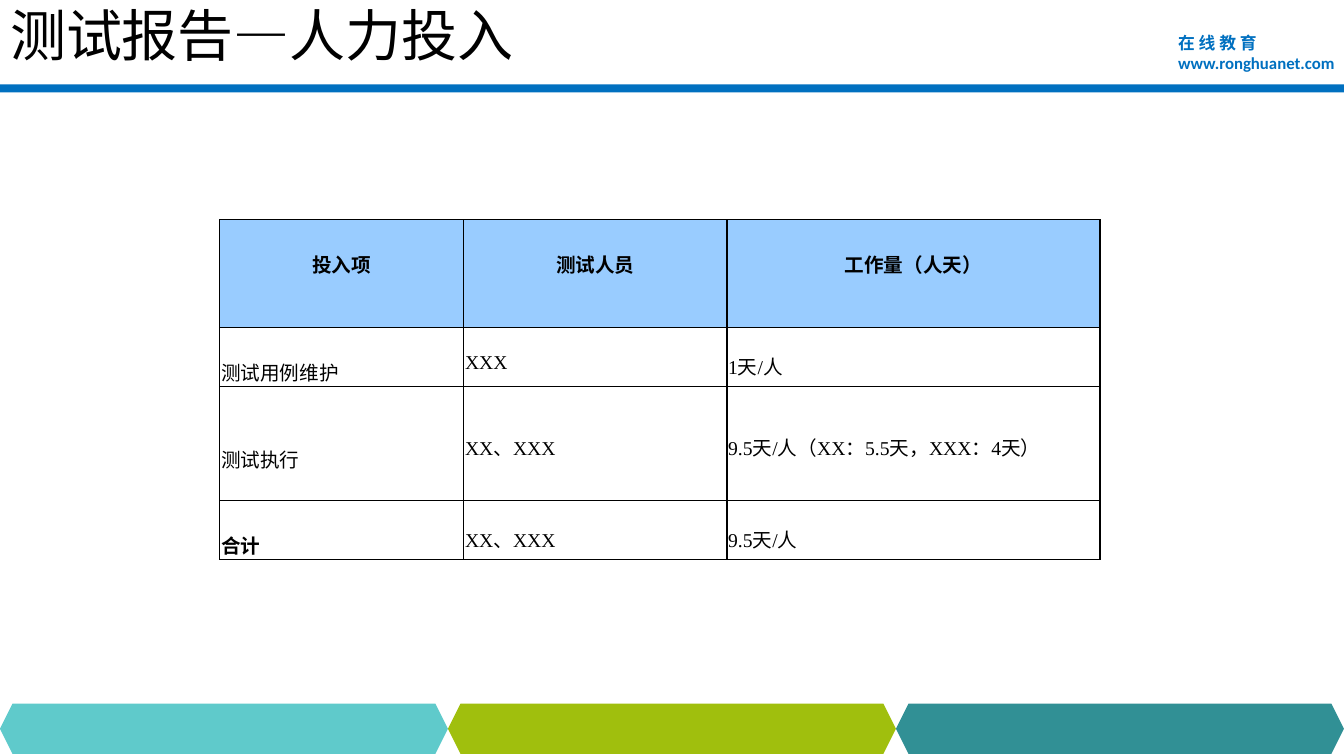
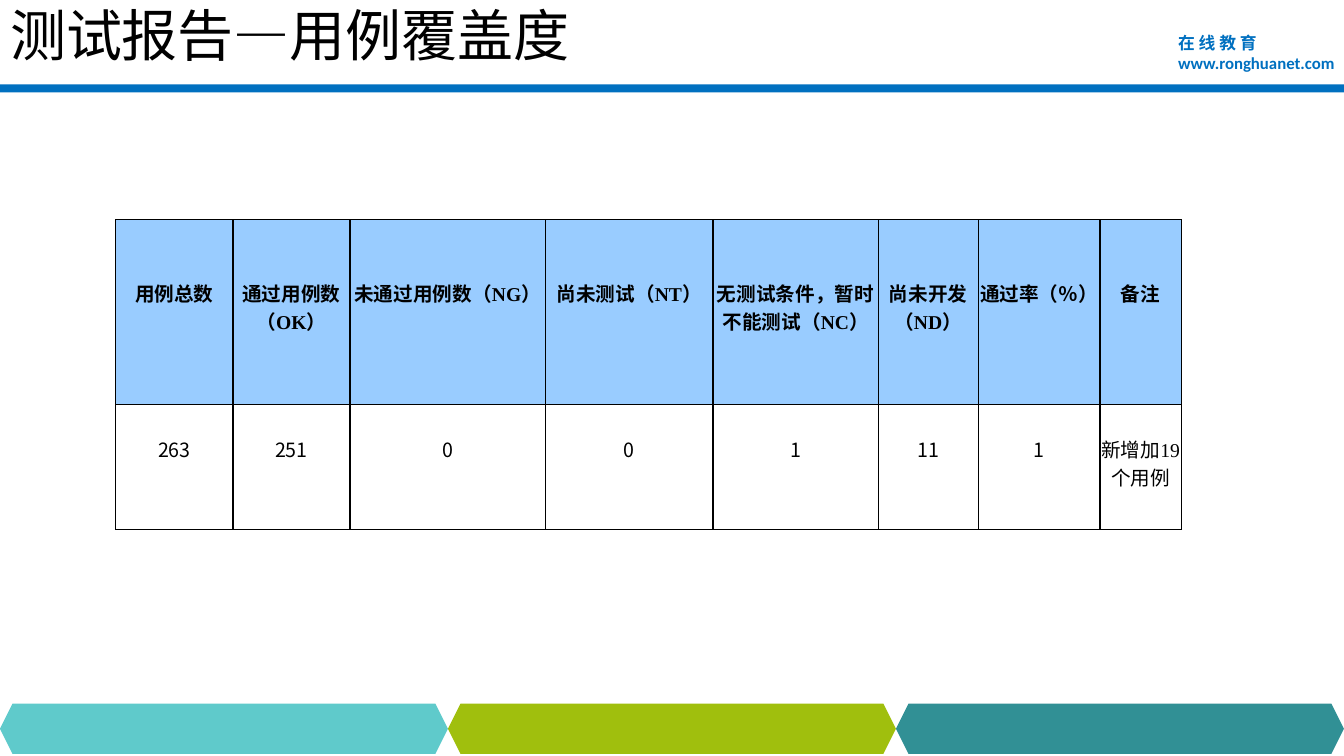
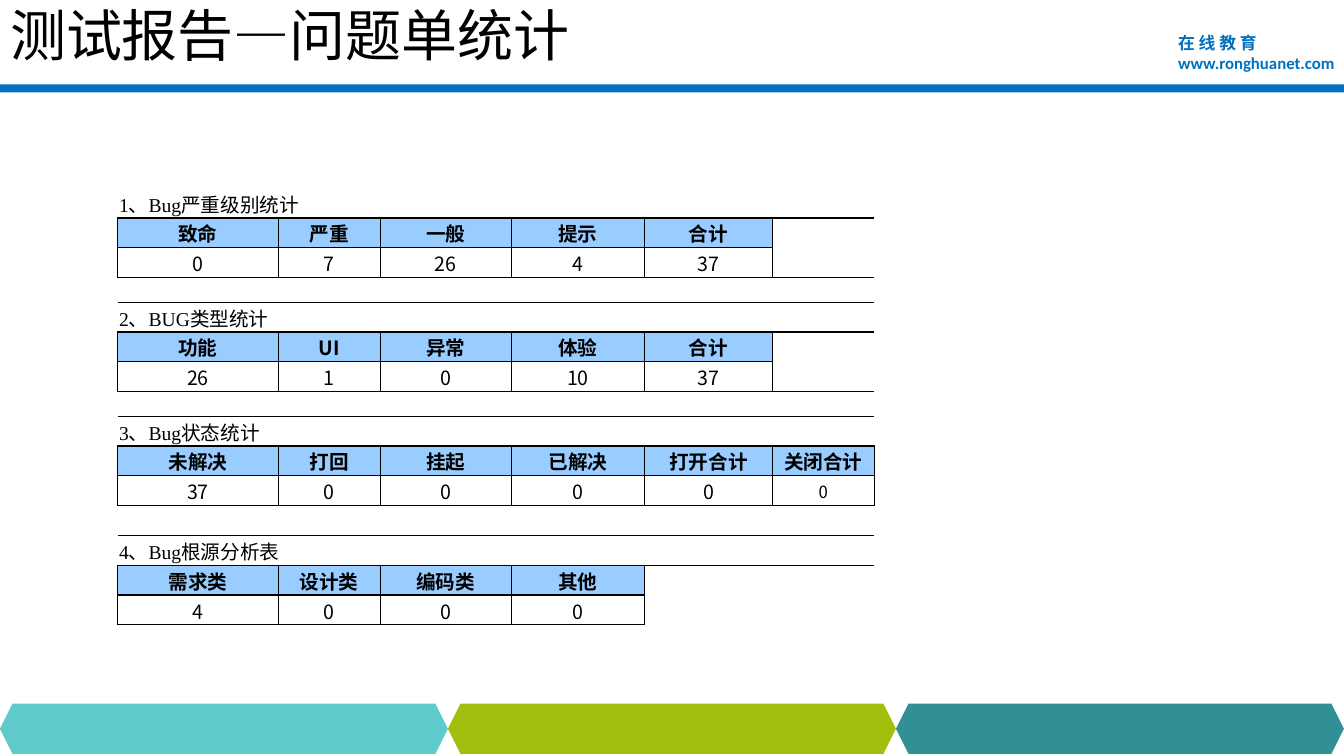
"""Build three test report slides: effort, case coverage and bug counts."""
import dataclasses
import itertools

import lxml.etree
import pptx
import pptx.dml.color
import pptx.enum.shapes
import pptx.enum.text
import pptx.oxml.ns
import pptx.util

Cm = pptx.util.Cm
Pt = pptx.util.Pt
RGB = pptx.dml.color.RGBColor
qn = pptx.oxml.ns.qn
ALIGN = pptx.enum.text.PP_ALIGN
ANCHOR = pptx.enum.text.MSO_ANCHOR
SHAPE = pptx.enum.shapes.MSO_SHAPE


@dataclasses.dataclass(frozen=True)
class Theme:
    ink: RGB = RGB.from_string("000000")
    blue: RGB = RGB.from_string("0070C0")
    head: RGB = RGB.from_string("99CCFF")
    bands: tuple = ("5FCACB", "A0BF0D", "319095")
    sans: str = "Noto Sans CJK SC"
    serif: str = "Times New Roman"
    web: str = "Calibri"
    title: str = "Arial"
    big: int = 40
    body: int = 14
    small: int = 12
    tall: float = 0.72
    low: float = 0.57


theme = Theme()


def grid(slide, left, top, widths, heights):
    frame = slide.shapes.add_table(
        len(heights), len(widths), Cm(left), Cm(top), Cm(sum(widths)), Cm(sum(heights)))
    for tag in frame.element.iter(qn("a:tableStyleId")):
        tag.text = "{2D5ABB26-0587-4C30-8999-92F81FD0307C}"
    table = frame.table
    table.first_row = table.horz_banding = False
    for col, width in zip(table.columns, widths):
        col.width = Cm(width)
    for row, height in zip(table.rows, heights):
        row.height = Cm(height)
    return table


def fill(cell, text="", bold=False, align=ALIGN.CENTER, gap=0, sides="LRTB",
         shade=None, size=theme.body, anchor=ANCHOR.TOP):
    cell.margin_left = cell.margin_right = Cm(0.03)
    cell.margin_top, cell.margin_bottom = Cm(0.03 + gap), 0
    cell.vertical_anchor = anchor
    props = cell._tc.get_or_add_tcPr()
    for side in sides:
        line = lxml.etree.SubElement(props, qn("a:ln" + side), w="12700")
        paint = lxml.etree.SubElement(line, qn("a:solidFill"))
        lxml.etree.SubElement(paint, qn("a:srgbClr"), val=str(theme.ink))
    if shade:
        cell.fill.solid()
        cell.fill.fore_color.rgb = shade
    else:
        cell.fill.background()
    para = cell.text_frame.paragraphs[0]
    para.alignment = align
    para.font.size = Pt(size)
    para.font.bold = bold
    para.font.color.rgb = theme.ink
    latin = theme.sans if text.isdigit() or text == "UI" else theme.serif
    for wide, part in itertools.groupby(text, lambda char: char > "⺀"):
        run = para.add_run()
        run.text = "".join(part)
        run.font.name = theme.sans if wide else latin
        lxml.etree.SubElement(run.font._element, qn("a:ea"), typeface=theme.sans)
    if not text:
        lxml.etree.SubElement(para._p, qn("a:endParaRPr"), sz=str(size * 100))


deck = pptx.Presentation()
deck.slide_width, deck.slide_height = Cm(33.87), Cm(19.05)
layout = deck.slide_layouts[5]
for holder in list(layout.placeholders)[1:]:
    holder.element.getparent().remove(holder.element)
holder = layout.placeholders[0]
holder.left, holder.top, holder.width, holder.height = Cm(0), Cm(-0.03), Cm(25.4), Cm(1.78)

slides = []
for topic in ("人力投入", "用例覆盖度", "问题单统计"):
    slide = deck.slides.add_slide(layout)
    title = slide.shapes.title.text_frame
    title.text = "测试报告—" + topic
    title.auto_size = pptx.enum.text.MSO_AUTO_SIZE.NONE
    title.vertical_anchor = ANCHOR.MIDDLE
    para = title.paragraphs[0]
    para.alignment = ALIGN.LEFT
    para.font.name = theme.title
    para.font.size = Pt(theme.big)
    para.font.color.rgb = theme.ink
    slides.append(slide)
effort, cover, bugs = slides

third = 11.29
parts = [(SHAPE.RECTANGLE, 0, 2.13, 33.87, 0.2, theme.blue)]
for spot, tint in enumerate(theme.bands):
    parts.append((SHAPE.HEXAGON, spot * third, 17.73, third, 1.27, RGB.from_string(tint)))
shared = []
for kind, left, top, width, height, tint in parts:
    band = effort.shapes.add_shape(kind, Cm(left), Cm(top), Cm(width), Cm(height))
    band.shadow.inherit = False
    band.fill.solid()
    band.fill.fore_color.rgb = tint
    band.line.fill.background()
    shared.append(band)
brand = effort.shapes.add_textbox(Cm(29.44), Cm(0.69), Cm(4.62), Cm(1.27))
brand.text_frame.word_wrap = True
brand.text_frame.text = "在 线 教 育\nwww.ronghuanet.com"
for para, face in zip(brand.text_frame.paragraphs, (theme.sans, theme.web)):
    para.font.name = face
    para.font.size = Pt(theme.small)
    para.font.bold = True
    para.font.color.rgb = theme.blue
shared.append(brand)
for shape in shared:
    layout.shapes.element.append(shape.element)

rows = [
    ("投入项", "测试人员", "工作量（人天）"),
    ("测试用例维护", "XXX", "1天/人"),
    ("测试执行", "XX、XXX", "9.5天/人（XX：5.5天，XXX：4天）"),
    ("合计", "XX、XXX", "9.5天/人"),
]
table = grid(effort, 5.54, 5.54, [6.15, 6.63, 9.4], [2.72, 1.48, 2.88, 1.48])
for row, texts in enumerate(rows):
    for col, text in enumerate(texts):
        step = theme.tall if row == 0 or col == 0 else theme.low
        fill(table.cell(row, col), text, bold=row == 0 or text == "合计",
             align=ALIGN.JUSTIFY if row else ALIGN.CENTER,
             gap=step * (2 if row == 2 else 1), shade=None if row else theme.head)

rows = [
    ("用例总数", "通过用例数（OK）", "未通过用例数（NG）", "尚未测试（NT）",
     "无测试条件，暂时不能测试（NC）", "尚未开发（ND）", "通过率（％）", "备注"),
    ("263", "251", "0", "0", "1", "11", "1", "新增加19个用例"),
]
shades = (theme.head, RGB.from_string("FFFFFF"))
table = grid(cover, 2.92, 5.54, [2.95, 2.95, 4.92, 4.23, 4.16, 2.52, 3.07, 2.05], [4.65, 3.15])
for row, texts in enumerate(rows):
    for col, text in enumerate(texts):
        fill(table.cell(row, col), text, bold=row == 0,
             gap=theme.tall * (2 - row), shade=shades[row])

blocks = [
    ("1、Bug严重级别统计", ("致命", "严重", "一般", "提示", "合计"), ("0", "7", "26", "4", "37")),
    ("2、BUG类型统计", ("功能", "UI", "异常", "体验", "合计"), ("26", "1", "0", "10", "37")),
    ("3、Bug状态统计", ("未解决", "打回", "挂起", "已解决", "打开合计", "关闭合计"),
     ("37", "0", "0", "0", "0", "0")),
    ("4、Bug根源分析表", ("需求类", "设计类", "编码类", "其他"), ("4", "0", "0", "0")),
]
line = 0.75
heights = [line] * 3 + [0.62] + [line] * 3 + [0.62] + [line] * 7
table = grid(bugs, 2.97, 4.74, [4.04, 2.57, 3.31, 3.35, 3.23, 2.56], heights)
last = len(table.columns) - 1
for spot, (label, heads, counts) in enumerate(blocks):
    top = spot * 4
    if spot:
        table.cell(top - 1, 0).merge(table.cell(top - 1, last))
        fill(table.cell(top - 1, 0), sides="T", size=theme.small)
    table.cell(top, 0).merge(table.cell(top, last))
    fill(table.cell(top, 0), label, align=ALIGN.LEFT, sides="B", anchor=ANCHOR.MIDDLE)
    for row, texts in ((top + 1, heads), (top + 2, counts)):
        head = texts is heads
        for col, text in enumerate(texts):
            fill(table.cell(row, col), text, bold=head, shade=theme.head if head else None,
                 size=theme.body if head or col < last else theme.small,
                 anchor=ANCHOR.TOP if head else ANCHOR.MIDDLE)
        if len(texts) <= last:
            rest = table.cell(row, len(texts))
            if len(texts) < last:
                rest.merge(table.cell(row, last))
            fill(rest, sides="L", size=theme.small)

deck.save("out.pptx")
